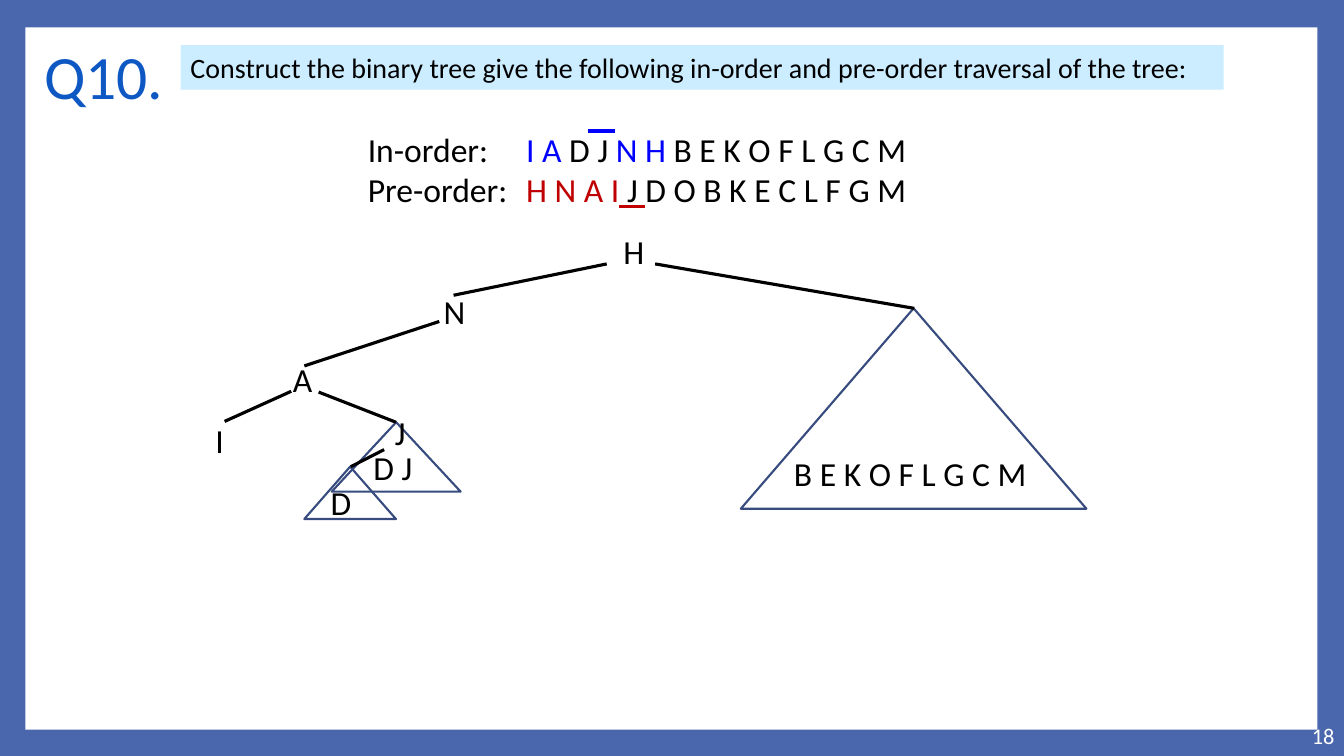
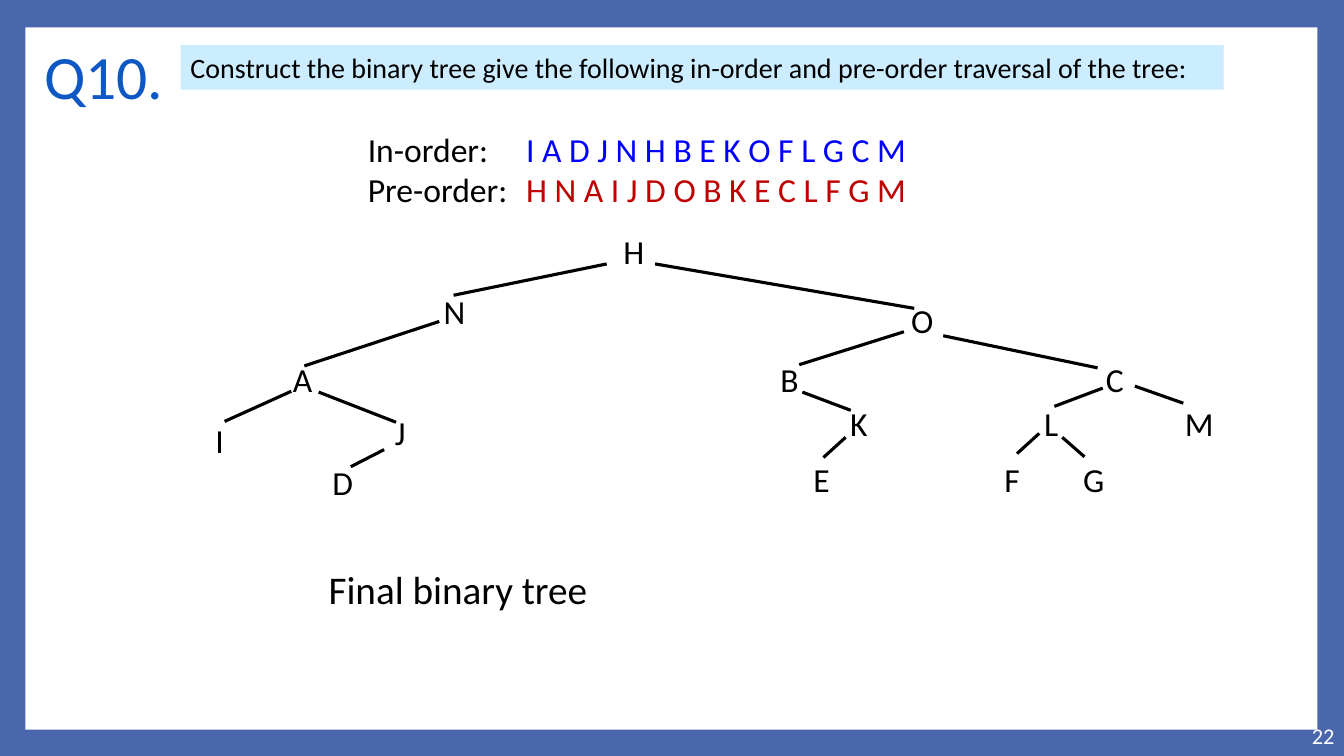
import pptx
import pptx.util
import pptx.dml.color
import pptx.enum.shapes
import pptx.enum.text
import pptx.oxml.ns
import lxml.etree

Cm, Pt = pptx.util.Cm, pptx.util.Pt
RGB = pptx.dml.color.RGBColor
SHAPE = pptx.enum.shapes.MSO_SHAPE
ALIGN = pptx.enum.text.PP_ALIGN
MIDDLE = pptx.enum.text.MSO_ANCHOR.MIDDLE
qn = pptx.oxml.ns.qn

FRAME = RGB(0x4A, 0x66, 0xAC)
WHITE = RGB(0xFF, 0xFF, 0xFF)
BLACK = RGB(0, 0, 0)
TITLE = RGB(0x0E, 0x58, 0xC4)
BAND = RGB(0xCC, 0xEC, 0xFF)
BLUE = RGB(0, 0, 0xFF)
RED = RGB(0xC0, 0, 0)
EDGE = RGB(0x37, 0x4B, 0x7F)

TASK = ("Construct the binary tree give the following in-order "
        "and pre-order traversal of the tree:")

# Tree letters: left and top of each box, in cm
NODES = {
    "H": (15.16, 5.69), "N": (10.64, 7.21), "A": (6.81, 8.92),
    "I": (4.72, 10.46), "J": (9.27, 10.26), "D": (7.82, 11.51),
    "O": (22.43, 7.44), "B": (19.08, 8.92), "K": (20.83, 10.03),
    "E": (19.89, 11.43), "C": (27.28, 8.92), "M": (29.41, 10.03),
    "L": (25.68, 10.03), "F": (24.69, 11.43), "G": (26.75, 11.43),
}

# Branches, parent then child: both ends, in cm
LINKS = {
    "HN": (15.29, 6.65, 11.43, 7.44), "HO": (16.51, 6.65, 23.04, 7.77),
    "NA": (11.07, 8.1, 7.67, 9.22), "AI": (7.34, 9.86, 5.66, 10.62),
    "AJ": (8.03, 9.88, 9.98, 10.64), "JD": (9.68, 11.33, 8.84, 11.76),
    "OB": (22.78, 8.36, 20.14, 9.19), "OC": (23.77, 8.46, 27.66, 9.27),
    "BK": (20.22, 9.88, 21.44, 10.34), "KE": (21.31, 11.02, 20.75, 11.53),
    "CL": (27.79, 9.78, 26.57, 10.24), "CM": (28.6, 9.73, 29.82, 10.16),
    "LF": (26.19, 10.92, 25.63, 11.43), "LG": (26.77, 11.02, 27.33, 11.51),
}

# Each page: number, traversal rows, letters, branches, subtrees, marks, caption
PAGES = [
    dict(
        number="18",
        rows=[
            [("In-order:\t", BLACK), ("I A", BLUE), (" D J ", BLACK),
             ("N H", BLUE), (" B E K O F L G C M", BLACK)],
            [("Pre-order:\t", BLACK), ("H N A I", RED),
             (" J D O B K E C L F G M", BLACK)],
        ],
        nodes="HNAIJ",
        links=["HN", "HO", "NA", "AI", "AJ", "JD"],
        trees=[
            ((18.67, 7.77, 8.71, 5.05), "B E K O F L G C M", (19.55, 11.3, 6.78, 1.27)),
            ((8.36, 10.64, 3.25, 1.75), "D J", (8.87, 11.13, 2.06, 1.27)),
            ((7.67, 11.76, 2.31, 1.32), "D", (7.72, 12.01, 1.75, 1.27)),
        ],
        marks=[((14.83, 3.3, 15.49, 3.3), BLUE), ((15.6, 5.21, 16.26, 5.21), RED)],
        caption="",
    ),
    dict(
        number="22",
        rows=[
            [("In-order:\t", BLACK), ("I A D J N H B E K O F L G C M", BLUE)],
            [("Pre-order:\t", BLACK), ("H N A I J D O B K E C L F G M", RED)],
        ],
        nodes=NODES, links=LINKS, trees=[], marks=[],
        caption="Final binary tree",
    ),
]


def write(slide, box, rows, size, align=ALIGN.LEFT):
    """Add a text box; each row is a list of (text, colour) runs."""
    frame = slide.shapes.add_textbox(*map(Cm, box)).text_frame
    frame.word_wrap = True
    for i, row in enumerate(rows):
        para = frame.paragraphs[0] if i == 0 else frame.add_paragraph()
        para.alignment = align
        para.font.name, para.font.size = "Calibri", Pt(size)
        if len(row) == 1:
            para.font.color.rgb = row[0][1]
        for text, color in row:
            run = para.add_run()
            run.text = text
            if len(row) > 1:
                run.font.color.rgb = color
    return frame


def draw(slide, ends, color=BLACK):
    """Add a straight line between two points."""
    line = slide.shapes.add_connector(
        pptx.enum.shapes.MSO_CONNECTOR.STRAIGHT, *map(Cm, ends))
    line.line.color.rgb = color
    line.line.width = Pt(2.25)
    lxml.etree.SubElement(line._element.spPr, qn("a:effectLst"))


deck = pptx.Presentation()
deck.slide_width, deck.slide_height = Cm(33.87), Cm(19.05)

# Shared background
back = deck.slide_master.background.fill
back.solid()
back.fore_color.rgb = FRAME

for page in PAGES:
    slide = deck.slides.add_slide(deck.slide_layouts[6])

    # White panel and task band
    for box, color in [((0.64, 0.69, 32.56, 17.7), WHITE),
                       ((4.55, 1.14, 26.29, 1.12), BAND)]:
        rect = slide.shapes.add_shape(SHAPE.RECTANGLE, *map(Cm, box))
        rect.shadow.inherit = False
        rect.fill.solid()
        rect.fill.fore_color.rgb = color
        rect.line.fill.background()
    write(slide, (4.55, 1.14, 26.29, 1.12), [[(TASK, BLACK)]], 20)

    # Title and page number
    title = write(slide, (0.86, 0.64, 3.66, 2.49), [[("Q10.", TITLE)]], 44)
    number = write(slide, (29.13, 18.03, 4.75, 1.02),
                   [[(page["number"], WHITE)]], 16, ALIGN.RIGHT)
    title.vertical_anchor = number.vertical_anchor = MIDDLE

    # Traversals, lined up at a tab stop
    orders = write(slide, (9.02, 3.12, 17.07, 2.31), page["rows"], 24)
    for para in orders.paragraphs:
        tabs = lxml.etree.Element(qn("a:tabLst"))
        lxml.etree.SubElement(tabs, qn("a:tab"), pos=str(Cm(3.99)), algn="l")
        para._p.get_or_add_pPr().insert(0, tabs)

    # Subtrees still to be split
    for box, text, place in page["trees"]:
        tree = slide.shapes.add_shape(SHAPE.ISOSCELES_TRIANGLE, *map(Cm, box))
        tree.shadow.inherit = False
        tree.fill.background()
        tree.line.color.rgb = EDGE
        tree.line.width = Pt(1.5)
        write(slide, place, [[(text, BLACK)]], 24, ALIGN.CENTER)

    # Branches, marks and letters
    for link in page["links"]:
        draw(slide, LINKS[link])
    for ends, color in page["marks"]:
        draw(slide, ends, color)
    for name in page["nodes"]:
        write(slide, (*NODES[name], 1.63, 1.27), [[(name, BLACK)]], 24, ALIGN.CENTER)

    # Caption
    if page["caption"]:
        write(slide, (8.03, 14.12, 7.59, 1.45), [[(page["caption"], BLACK)]], 28)

deck.save("out.pptx")
